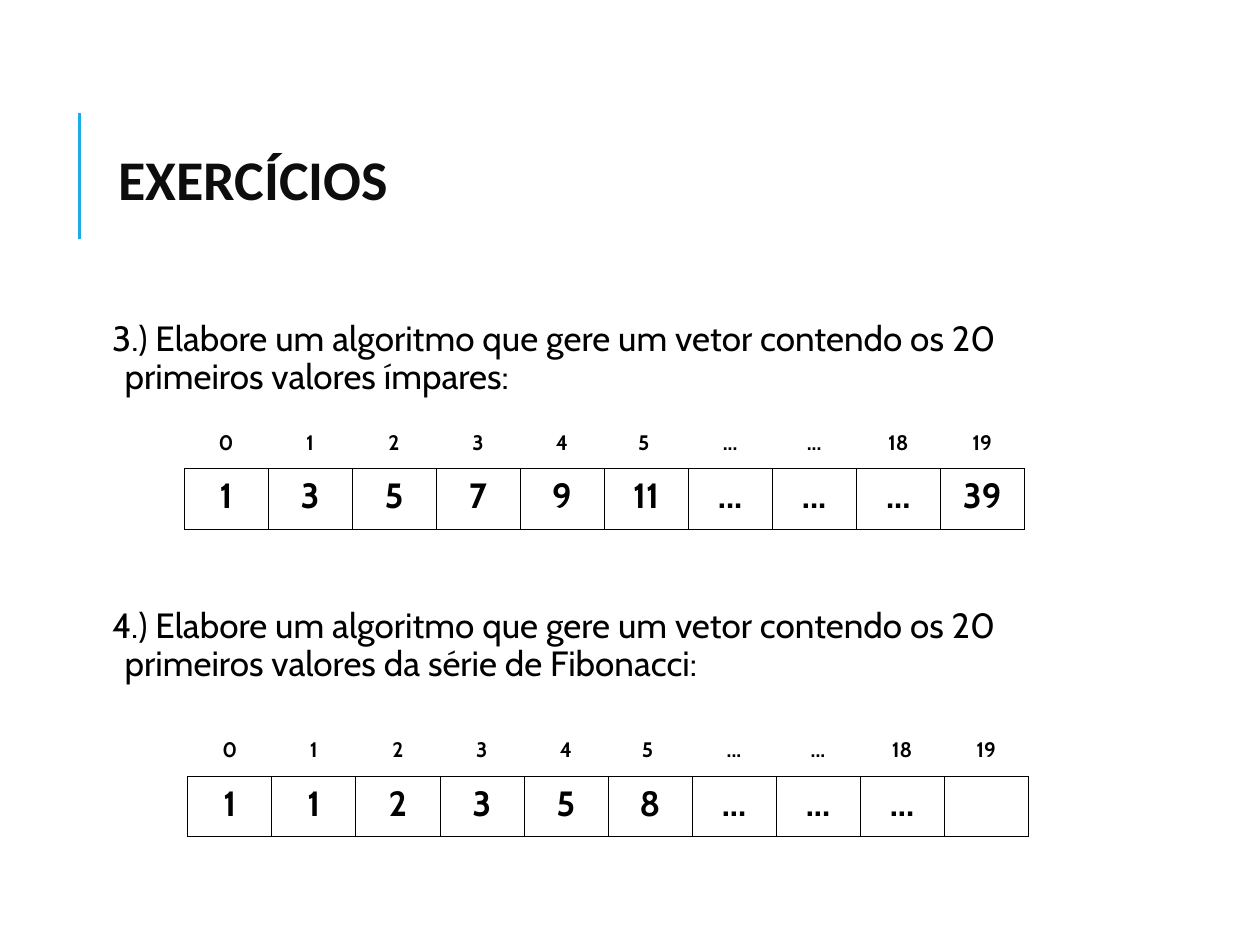
from dataclasses import dataclass

from lxml.etree import SubElement
from pptx import Presentation
from pptx.dml.color import RGBColor
from pptx.enum.shapes import MSO_CONNECTOR
from pptx.enum.text import MSO_ANCHOR, PP_ALIGN
from pptx.oxml.ns import qn
from pptx.util import Inches, Pt


@dataclass(frozen=True)
class Theme:
    accent: str = "1CADE4"
    title_color: str = "0D0D0D"
    ink: str = "000000"
    title_font: str = "Calibri"
    body_font: str = "Cabin"
    title_size: float = 32
    body_size: float = 20
    index_size: float = 12
    grid_width: float = 0.45
    plain_table: str = "{2D5ABB26-0587-4C30-8999-92F81FD0307C}"


@dataclass(frozen=True)
class Exercise:
    question: str
    space_before: float
    left: float
    top: float
    values: list[str]


THEME = Theme()
DOTS = "..."
INDEXES = ["0", "1", "2", "3", "4", "5 ", DOTS, DOTS, "18", "19"]
COL_WIDTH = 0.667
ROW_HEIGHTS = (0.36, 0.48)
EXERCISES = [
    Exercise("3.) Elabore um algoritmo que gere um vetor contendo os 20 "
             "primeiros valores ímpares:",
             12, 1.46, 3.36, ["1", "3", "5", "7", "9", "11", DOTS, DOTS, DOTS, "39"]),
    Exercise("4.) Elabore um algoritmo que gere um vetor contendo os 20 "
             "primeiros valores da série de Fibonacci:",
             119, 1.49, 5.8, ["1", "1", "2", "3", "5", "8", DOTS, DOTS, DOTS, ""]),
]


def set_attrs(target, formats: dict) -> None:
    for name, value in formats.items():
        setattr(target, name, value)


def add_run(p, text: str, font: str, size: float, color: str, bold: bool = False) -> None:
    r = p.add_run()
    r.text = text
    set_attrs(r.font, {"name": font, "size": Pt(size), "bold": bold})
    r.font.color.rgb = RGBColor.from_string(color)


def add_box(slide, left: float, top: float, width: float, height: float):
    tf = slide.shapes.add_textbox(*map(Inches, (left, top, width, height))).text_frame
    tf.word_wrap = True
    return tf


def add_title(slide, text: str) -> None:
    line = slide.shapes.add_connector(
        MSO_CONNECTOR.STRAIGHT, Inches(0.63), Inches(1.9), Inches(0.63), Inches(0.9))
    line.line.color.rgb = RGBColor.from_string(THEME.accent)
    line.line.width = Pt(1.5)
    SubElement(line._element.spPr, qn("a:effectLst"))
    tf = add_box(slide, 0.84, 0.64, 7.97, 1.64)
    tf.vertical_anchor = MSO_ANCHOR.MIDDLE
    p = tf.paragraphs[0]
    p.line_spacing = 0.8
    add_run(p, text, THEME.title_font, THEME.title_size, THEME.title_color, True)


def add_questions(slide, exercises: list[Exercise]) -> None:
    tf = add_box(slide, 0.84, 2.5, 7.97, 4.4)
    for side in ("left", "top", "right", "bottom"):
        setattr(tf, f"margin_{side}", Inches(0.05))
    for i, exercise in enumerate(exercises):
        p = tf.add_paragraph() if i else tf.paragraphs[0]
        set_attrs(p, {"line_spacing": 0.9, "space_after": Pt(2),
                      "space_before": Pt(exercise.space_before)})
        # Hanging indent
        pPr = p._p.get_or_add_pPr()
        pPr.set("marL", str(Inches(0.1)))
        pPr.set("indent", str(Inches(-0.1)))
        add_run(p, exercise.question, THEME.body_font, THEME.body_size, THEME.ink)


def add_border(cell, side: str) -> None:
    ln = SubElement(cell._tc.get_or_add_tcPr(), qn(f"a:ln{side}"),
                    w=str(Pt(THEME.grid_width)))
    SubElement(SubElement(ln, qn("a:solidFill")), qn("a:srgbClr"), val=THEME.ink)


def add_vector(slide, exercise: Exercise) -> None:
    count = len(INDEXES)
    table = slide.shapes.add_table(
        2, count, Inches(exercise.left), Inches(exercise.top),
        Inches(COL_WIDTH * count), Inches(sum(ROW_HEIGHTS))).table
    set_attrs(table, {"first_row": False, "horz_banding": False})
    table._tbl.tblPr.find(qn("a:tableStyleId")).text = THEME.plain_table
    for column in table.columns:
        column.width = Inches(COL_WIDTH)
    # Index row without borders, value row with a full grid
    rows = ((INDEXES, THEME.index_size, "B"), (exercise.values, THEME.body_size, "LRTB"))
    for i, (texts, size, sides) in enumerate(rows):
        table.rows[i].height = Inches(ROW_HEIGHTS[i])
        for j, text in enumerate(texts):
            cell = table.cell(i, j)
            for side in sides:
                add_border(cell, side)
            cell.fill.background()
            p = cell.text_frame.paragraphs[0]
            p.alignment = PP_ALIGN.CENTER
            if text:
                add_run(p, text, THEME.body_font, size, THEME.ink, True)


def main() -> None:
    prs = Presentation()
    prs.slide_width, prs.slide_height = Inches(10), Inches(7.5)
    slide = prs.slides.add_slide(prs.slide_layouts[6])
    add_title(slide, "EXERCÍCIOS")
    add_questions(slide, EXERCISES)
    for exercise in EXERCISES:
        add_vector(slide, exercise)
    prs.save("out.pptx")


if __name__ == "__main__":
    main()
